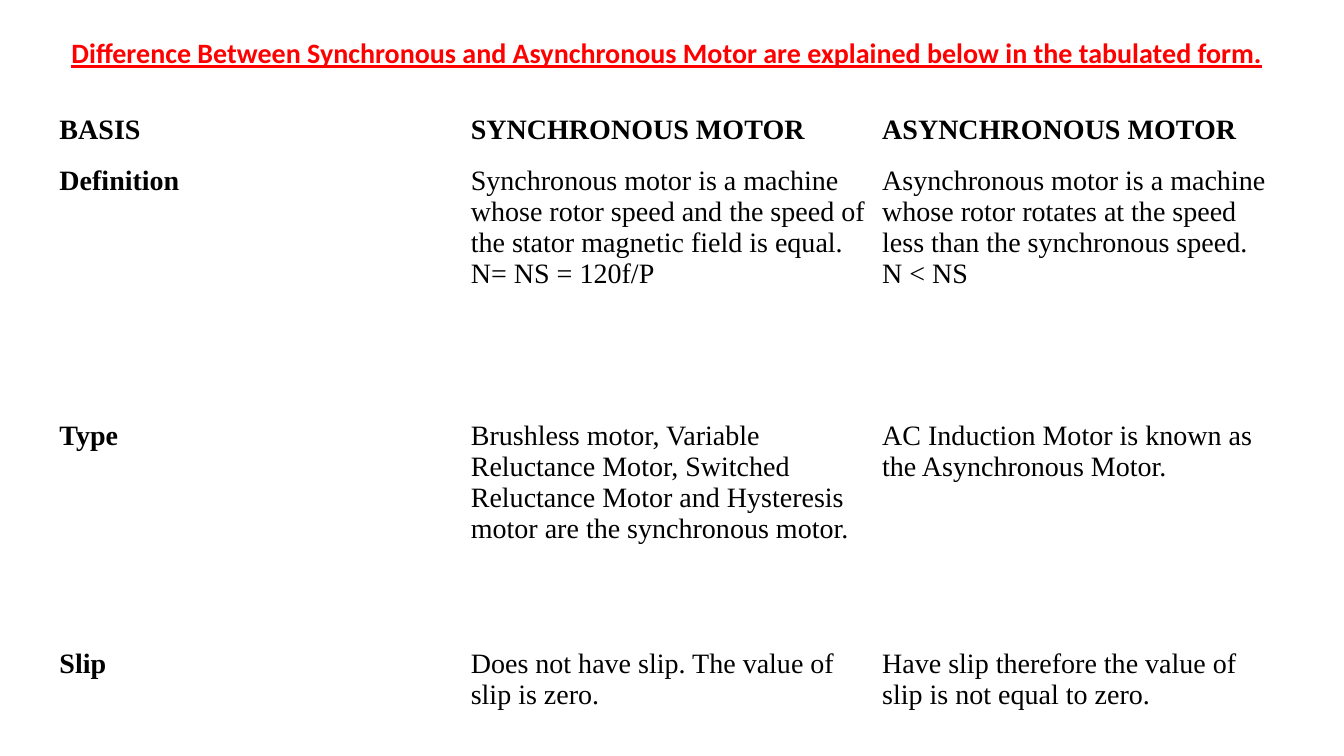
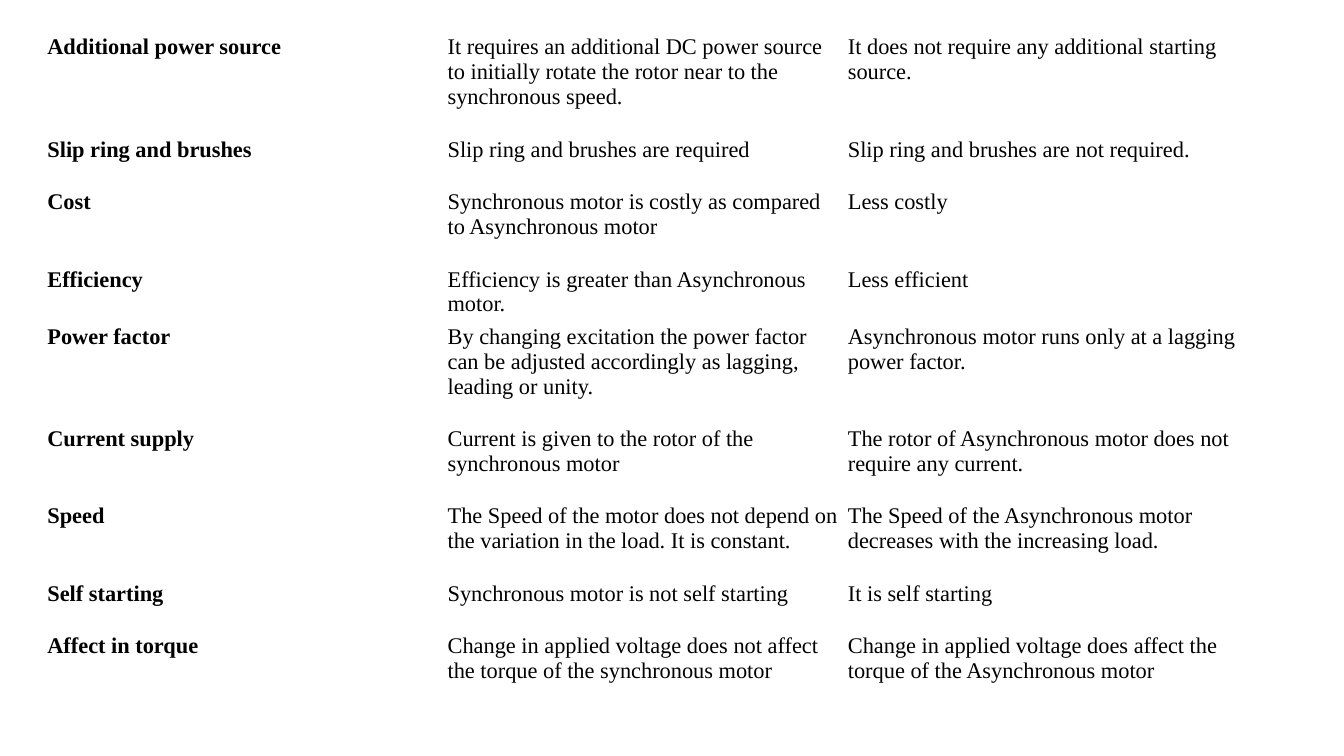
from pptx import Presentation
from pptx.dml.color import RGBColor
from pptx.enum.text import MSO_ANCHOR, MSO_AUTO_SIZE, PP_ALIGN
from pptx.util import Inches, Pt

MIDDLE, TOP = MSO_ANCHOR.MIDDLE, MSO_ANCHOR.TOP
CENTER = PP_ALIGN.CENTER
NO_AUTOFIT = MSO_AUTO_SIZE.NONE

RED = RGBColor(0xFF, 0x00, 0x00)
BLACK = RGBColor(0x00, 0x00, 0x00)
WHITE = RGBColor(0xFF, 0xFF, 0xFF)
TITLE_FONT = "Calibri"
TABLE_FONT = "Times New Roman"
TITLE_ONLY, BLANK = 5, 6

TITLE = ("Difference Between Synchronous and Asynchronous Motor "
         "are explained below in the tabulated form.")

BASICS = [
    ("BASIS", "SYNCHRONOUS MOTOR", "ASYNCHRONOUS MOTOR"),
    ("Definition",
     "Synchronous motor is a machine whose rotor speed and the speed of "
     "the stator magnetic field is equal.\nN= NS = 120f/P",
     "Asynchronous motor is a machine whose rotor rotates at the speed "
     "less than the synchronous speed.\nN < NS"),
    ("Type",
     "Brushless motor, Variable Reluctance Motor, Switched Reluctance Motor "
     "and Hysteresis motor are the synchronous motor.",
     "AC Induction Motor is known as the Asynchronous Motor."),
    ("Slip",
     "Does not have slip. The value of slip is zero.",
     "Have slip therefore the value of slip is not equal to zero."),
]
BASICS_HEIGHTS = [0.63, 2.53, 2.26, 0.9]

OPERATION = [
    ("Additional power source",
     "It requires an additional DC power source to initially rotate the rotor "
     "near to the synchronous speed.",
     "It does not require any additional starting source."),
    ("Slip ring and brushes",
     "Slip ring and brushes are required",
     "Slip ring and brushes are not required."),
    ("Cost",
     "Synchronous motor is costly as compared to Asynchronous motor",
     "Less costly"),
    ("Efficiency",
     "Efficiency is greater than Asynchronous motor.",
     "Less efficient"),
    ("Power factor",
     "By changing excitation the power factor can be adjusted accordingly as "
     "lagging, leading or unity.",
     "Asynchronous motor runs only at a lagging power factor."),
    ("Current supply",
     "Current is given to the rotor of the synchronous motor",
     "The rotor of Asynchronous motor does not require any current."),
    ("Speed",
     "The Speed of the motor does not depend on the variation in the load. "
     "It is constant.",
     "The Speed of the Asynchronous motor\ndecreases with the increasing load."),
    ("Self starting",
     "Synchronous motor is not self starting",
     "It is self starting"),
    ("Affect in torque",
     "Change in applied voltage does not affect the torque of the synchronous "
     "motor",
     "Change in applied voltage does affect the torque of the Asynchronous "
     "motor"),
]
OPERATION_HEIGHTS = [1.02, 0.52, 0.77, 0.57, 1.01, 0.77, 0.77, 0.52, 0.77]


def write_text(frame, text, *, font, size, color, bold=False, underline=False,
               align=None, line_spacing=None):
    """Fill a text frame, one paragraph per line of text."""
    frame.text = text
    for para in frame.paragraphs:
        para.alignment = align
        para.line_spacing = line_spacing
        for span in para.runs:
            span.font.name = font
            span.font.size = Pt(size)
            span.font.color.rgb = color
            span.font.bold = bold
            span.font.underline = underline


def set_title(page, text):
    title = page.shapes.title
    title.left, title.top = Inches(0.32), Inches(0)
    title.width, title.height = Inches(12.59), Inches(1.08)
    frame = title.text_frame
    frame.word_wrap = True
    frame.auto_size = NO_AUTOFIT
    frame.vertical_anchor = MIDDLE
    write_text(frame, text, font=TITLE_FONT, size=20, color=RED, bold=True,
               underline=True, align=CENTER, line_spacing=0.9)


def add_comparison(page, rows, heights, *, left, top, column_width, size,
                   margin_x, margin_y, has_header=False):
    """Add a plain white table with bold row labels and an optional header."""
    columns = len(rows[0])
    table = page.shapes.add_table(
        len(rows), columns, Inches(left), Inches(top),
        Inches(column_width * columns), Inches(sum(heights))).table
    table.first_row = has_header
    table.horz_banding = False
    for column in table.columns:
        column.width = Inches(column_width)
    for row_index, (texts, height) in enumerate(zip(rows, heights)):
        table.rows[row_index].height = Inches(height)
        is_header = has_header and row_index == 0
        for column_index, text in enumerate(texts):
            cell = table.cell(row_index, column_index)
            cell.fill.solid()
            cell.fill.fore_color.rgb = WHITE
            cell.margin_left = cell.margin_right = Inches(margin_x)
            cell.margin_top = cell.margin_bottom = Inches(margin_y)
            cell.vertical_anchor = MIDDLE if is_header else TOP
            write_text(cell.text_frame, text, font=TABLE_FONT, size=size,
                       color=BLACK, bold=is_header or column_index == 0)


def main():
    deck = Presentation()
    deck.slide_width, deck.slide_height = Inches(13.33), Inches(7.5)

    page = deck.slides.add_slide(deck.slide_layouts[TITLE_ONLY])
    set_title(page, TITLE)
    add_comparison(page, BASICS, BASICS_HEIGHTS, left=0.52, top=0.97,
                   column_width=4.08, size=20, margin_x=0.07, margin_y=0.04,
                   has_header=True)

    page = deck.slides.add_slide(deck.slide_layouts[BLANK])
    add_comparison(page, OPERATION, OPERATION_HEIGHTS, left=0.44, top=0.33,
                   column_width=3.97, size=16, margin_x=0.03, margin_y=0.01)

    deck.save("out.pptx")


if __name__ == "__main__":
    main()
